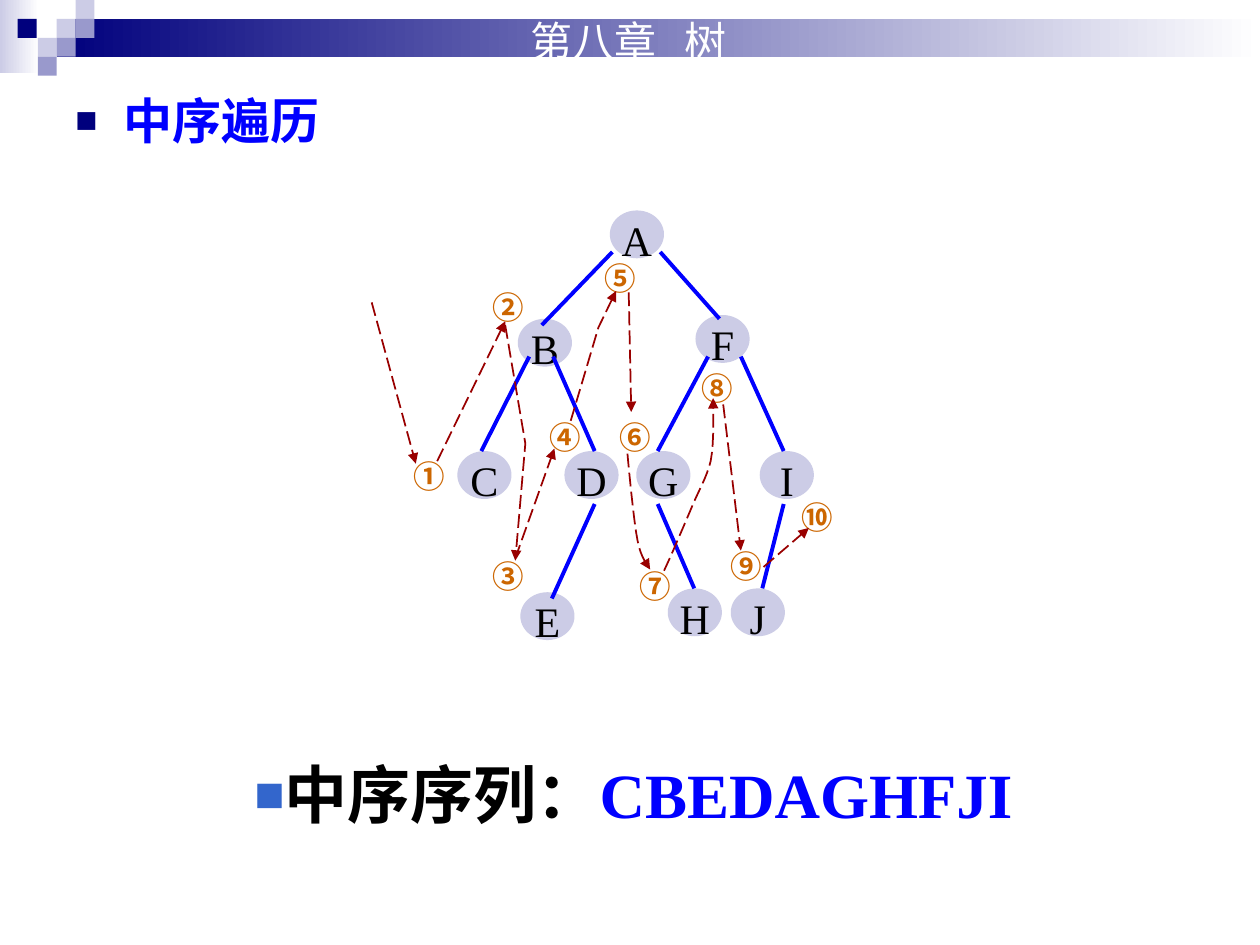
"""Build the slide on in-order traversal of a binary tree."""
import lxml.etree
import pptx
import pptx.dml.color
import pptx.enum.dml
import pptx.enum.shapes
import pptx.enum.text
import pptx.oxml.ns
import pptx.util

Inches = pptx.util.Inches
Pt = pptx.util.Pt
RGBColor = pptx.dml.color.RGBColor
qn = pptx.oxml.ns.qn
SHAPE = pptx.enum.shapes.MSO_SHAPE
ANCHOR = pptx.enum.text.MSO_ANCHOR
ALIGN = pptx.enum.text.PP_ALIGN

NAVY = RGBColor(0x00, 0x00, 0x7D)
LAVENDER = RGBColor(0xCC, 0xCC, 0xE6)
VIOLET = RGBColor(0x99, 0x99, 0xCC)
WHITE = RGBColor(0xFF, 0xFF, 0xFF)
BLACK = RGBColor(0x00, 0x00, 0x00)
BLUE = RGBColor(0x00, 0x00, 0xFF)
STEEL = RGBColor(0x33, 0x66, 0xCC)
ORANGE = RGBColor(0xCC, 0x66, 0x00)
MAROON = RGBColor(0x99, 0x00, 0x00)
SERIF, SANS, CJK = "Times New Roman", "Arial", "Noto Sans CJK SC"

SQUARES = [(0.45, 0.15, LAVENDER), (0.6, 0, LAVENDER), (0.6, 0.15, VIOLET),
           (0.3, 0.3, LAVENDER), (0.14, 0.15, NAVY), (0.45, 0.3, VIOLET),
           (0.3, 0.45, VIOLET)]
NODES = {"A": (4.84, 1.67), "B": (4.11, 2.53), "C": (3.63, 3.58),
         "D": (4.48, 3.58), "E": (4.13, 4.7), "F": (5.52, 2.5),
         "G": (5.05, 3.58), "H": (5.3, 4.67), "I": (6.03, 3.58),
         "J": (5.8, 4.67)}
EDGES = [((4.86, 2), (4.3, 2.58)), ((5.24, 2), (5.71, 2.53)),
         ((4.2, 2.83), (3.82, 3.58)), ((4.39, 2.83), (4.72, 3.58)),
         ((5.62, 2.83), (5.22, 3.58)), ((5.88, 2.83), (6.22, 3.58)),
         ((4.72, 4), (4.38, 4.75)), ((5.22, 4), (5.51, 4.67)),
         ((6.22, 4), (6.05, 4.67))]
STEPS = {"①": (3.18, 3.58), "②": (3.81, 2.24), "③": (3.81, 4.37),
         "④": (4.26, 3.27), "⑤": (4.7, 2.01), "⑥": (4.82, 3.27),
         "⑦": (4.98, 4.45), "⑧": (5.47, 2.88), "⑨": (5.7, 4.29),
         "⑩": (6.26, 3.9)}
STRAIGHT_HOPS = [((2.95, 2.4), (3.3, 3.68)), ((3.47, 3.66), (4.01, 2.55)),
                 ((4.09, 4.43), (4.4, 3.56)), ((4.99, 2.32), (5.01, 3.27)),
                 ((5.74, 3.21), (5.88, 4.37)), ((6.06, 4.5), (6.42, 4.19))]
BENT_HOPS = [[(4.01, 2.58), (4.17, 3.52), (4.09, 4.45)],
             [(4.53, 3.34), (4.75, 2.6), (4.89, 2.31)]]
CURVED_HOPS = [[(4.98, 3.6), (4.99, 3.71), (5.03, 4.14), (5.06, 4.29),
                (5.09, 4.44), (5.14, 4.48), (5.16, 4.52)],
               [(5.27, 4.53), (5.31, 4.45), (5.42, 4.19), (5.48, 4.05),
                (5.54, 3.9), (5.61, 3.79), (5.64, 3.66),
                (5.67, 3.51), (5.66, 3.24), (5.66, 3.16)]]


def bezier(points, steps=8):
    """Return points along a chain of cubic Bezier segments."""
    result = [points[0]]
    for i in range(0, len(points) - 1, 3):
        for k in range(1, steps + 1):
            t = k / steps
            weights = ((1 - t) ** 3, 3 * t * (1 - t) ** 2, 3 * t * t * (1 - t), t ** 3)
            result.append(tuple(sum(w * pt[axis] for w, pt in zip(weights, points[i:i + 4]))
                                for axis in (0, 1)))
    return result


class Deck:
    """Hold the style and the current slide, and draw each kind of element."""

    def __init__(self):
        """Start a presentation with one title-only slide."""
        self.prs = pptx.Presentation()
        self.prs.slide_width, self.prs.slide_height = Inches(10), Inches(7.5)
        self.s = self.prs.slides.add_slide(self.prs.slide_layouts[5])

    def place(self, sp, x, y, w, h):
        """Move and size a shape."""
        sp.left, sp.top, sp.width, sp.height = map(Inches, (x, y, w, h))

    def style(self, r, size, font, color, bold=False):
        """Format a run for Latin and East Asian text."""
        r.font.size, r.font.name, r.font.bold = Pt(size), font, bold
        r.font.color.rgb = color
        ea = lxml.etree.SubElement(r.font._element, qn("a:ea"))
        ea.set("typeface", CJK)

    def title(self, text, x, y, w, h):
        """Fill the title placeholder."""
        sp = self.s.shapes.title
        self.place(sp, x, y, w, h)
        tf = sp.text_frame
        tf.text = text
        tf.word_wrap, tf.vertical_anchor = True, ANCHOR.TOP
        tf.auto_size = pptx.enum.text.MSO_AUTO_SIZE.NONE
        tf.paragraphs[0].alignment = ALIGN.LEFT
        self.style(tf.paragraphs[0].runs[0], 24, CJK, WHITE)

    def text(self, parts, x, y, w, h, size, font, bold=True):
        """Add a text box of coloured runs and return its paragraph."""
        tf = self.s.shapes.add_textbox(*map(Inches, (x, y, w, h))).text_frame
        tf.word_wrap = True
        p = tf.paragraphs[0]
        for text, color in parts:
            r = p.add_run()
            r.text = text
            self.style(r, size, font, color, bold)
        return p

    def bullet(self, p, color, percent, indent=0):
        """Give a paragraph a square bullet."""
        pPr = p._p.get_or_add_pPr()
        pPr.set("marL", str(Inches(indent)))
        pPr.set("indent", str(-Inches(indent)))
        clr = lxml.etree.SubElement(pPr, qn("a:buClr"))
        lxml.etree.SubElement(clr, qn("a:srgbClr")).set("val", str(color))
        for tag, key, value in (("a:buSzPct", "val", str(percent * 1000)),
                                ("a:buFont", "typeface", SANS),
                                ("a:buChar", "char", "■")):
            lxml.etree.SubElement(pPr, qn(tag)).set(key, value)

    def shape(self, kind, x, y, w, h, color, fade=False):
        """Add a plain shape, or one that fades to white on the right."""
        sp = self.s.shapes.add_shape(kind, *map(Inches, (x, y, w, h)))
        sp.shadow.inherit = False
        sp.line.fill.background()
        if fade:
            sp.fill.gradient()
            sp.fill.gradient_angle = 0
            for stop, rgb in zip(sp.fill.gradient_stops, (color, WHITE)):
                stop.color.rgb = rgb
        else:
            sp.fill.solid()
            sp.fill.fore_color.rgb = color
        return sp

    def node(self, name, x, y):
        """Add a tree node."""
        tf = self.shape(SHAPE.OVAL, x, y, 0.43, 0.38, LAVENDER).text_frame
        tf.text = name
        tf.word_wrap, tf.vertical_anchor = False, ANCHOR.MIDDLE
        p = tf.paragraphs[0]
        p.alignment, p.line_spacing, p.space_before = ALIGN.CENTER, 1.2, Pt(6)
        self.style(p.runs[0], 24, SERIF, BLACK)

    def line(self, start, end):
        """Add a straight connector."""
        c = self.s.shapes.add_connector(pptx.enum.shapes.MSO_CONNECTOR.STRAIGHT,
                                        *map(Inches, start + end))
        lxml.etree.SubElement(c.element.spPr, qn("a:effectLst"))
        return c

    def edge(self, start, end):
        """Add a tree edge."""
        c = self.line(start, end)
        c.line.color.rgb, c.line.width = BLUE, Pt(2.25)

    def hop(self, points):
        """Add a dashed arrow through the points."""
        if len(points) == 2:
            sp = self.line(*points)
        else:
            emu = [tuple(map(Inches, pt)) for pt in points]
            fb = self.s.shapes.build_freeform(*emu[0])
            fb.add_line_segments(emu[1:], close=False)
            sp = fb.convert_to_shape()
            sp.shadow.inherit = False
            sp.fill.background()
        sp.line.color.rgb, sp.line.width = MAROON, Pt(1)
        sp.line.dash_style = pptx.enum.dml.MSO_LINE.LONG_DASH
        ln = sp.element.spPr.find(qn("a:ln"))
        lxml.etree.SubElement(ln, qn("a:tailEnd")).set("type", "triangle")


def main():
    """Draw the slide and save it."""
    d = Deck()
    d.shape(SHAPE.RECTANGLE, 0, 0, 0.31, 0.58, LAVENDER, fade=True)
    d.shape(SHAPE.RECTANGLE, 0.45, 0.15, 9.55, 0.3, NAVY, fade=True)
    for x, y, color in SQUARES:
        d.shape(SHAPE.RECTANGLE, x, y, 0.15, 0.15, color)
    d.title("第八章   树", 4.11, 0.07, 2.42, 0.5)
    tree = d.s.shapes
    tree._spTree.append(tree.title.element)
    p = d.text([("中序遍历", BLUE)], 0.5, 0.67, 9, 0.7, 28, SANS)
    p.space_before = Pt(7)
    d.bullet(p, NAVY, 75, 0.38)
    for name, (x, y) in NODES.items():
        d.node(name, x, y)
    for start, end in EDGES:
        d.edge(start, end)
    for label, (x, y) in STEPS.items():
        d.text([(label, ORANGE)], x, y, 0.49, 0.4, 18, CJK)
    for points in STRAIGHT_HOPS + BENT_HOPS + [bezier(c) for c in CURVED_HOPS]:
        d.hop(points)
    p = d.text([("中序序列：", BLACK), ("CBEDAGHFJI", BLUE)], 1.92, 5.83, 6.5, 0.82, 36, SERIF)
    p.line_spacing, p.space_before = 1.2, Pt(9)
    d.bullet(p, STEEL, 80)
    d.prs.save("out.pptx")


if __name__ == "__main__":
    main()
